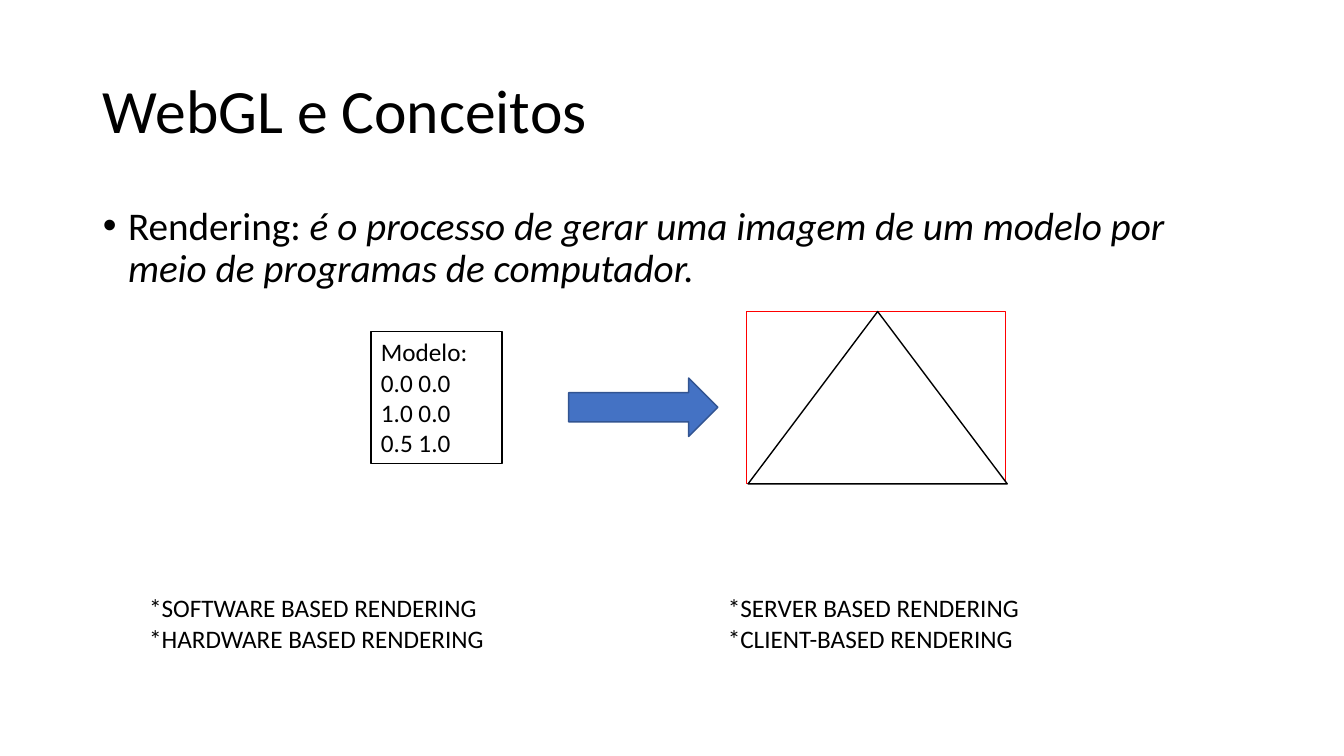
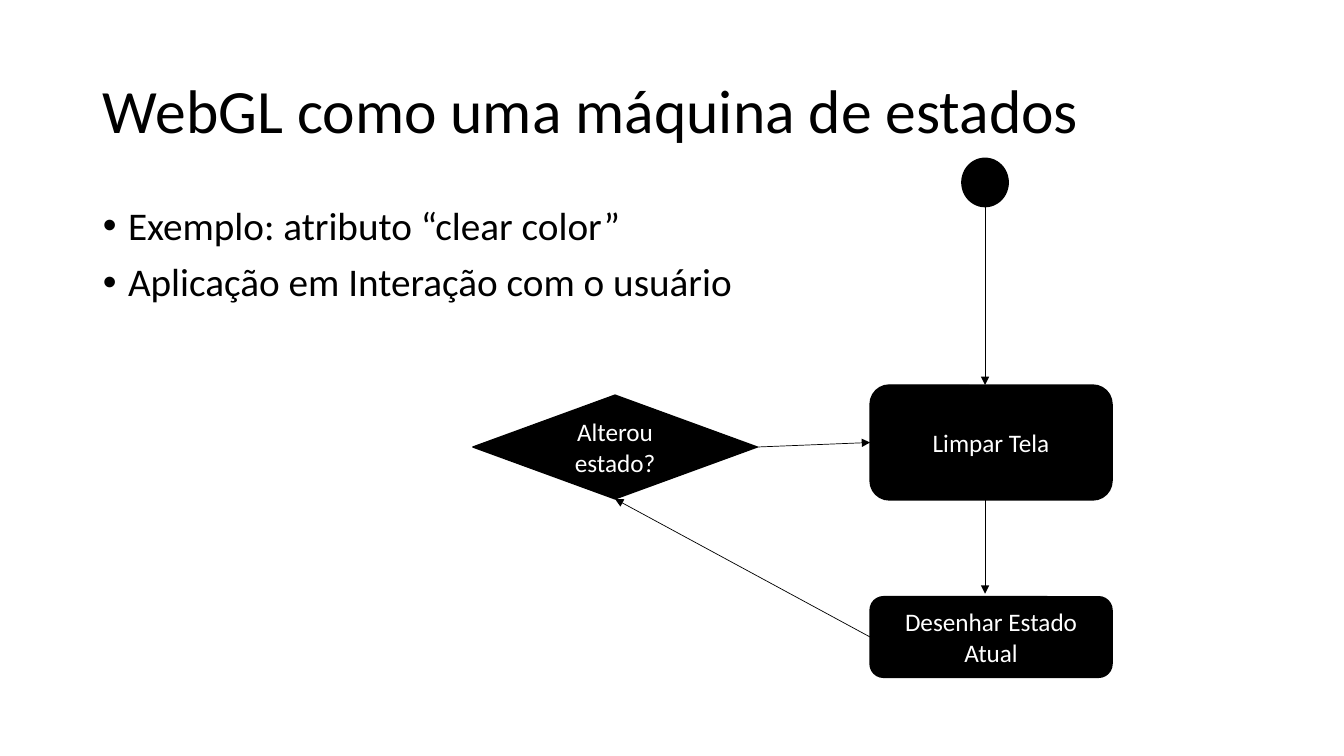
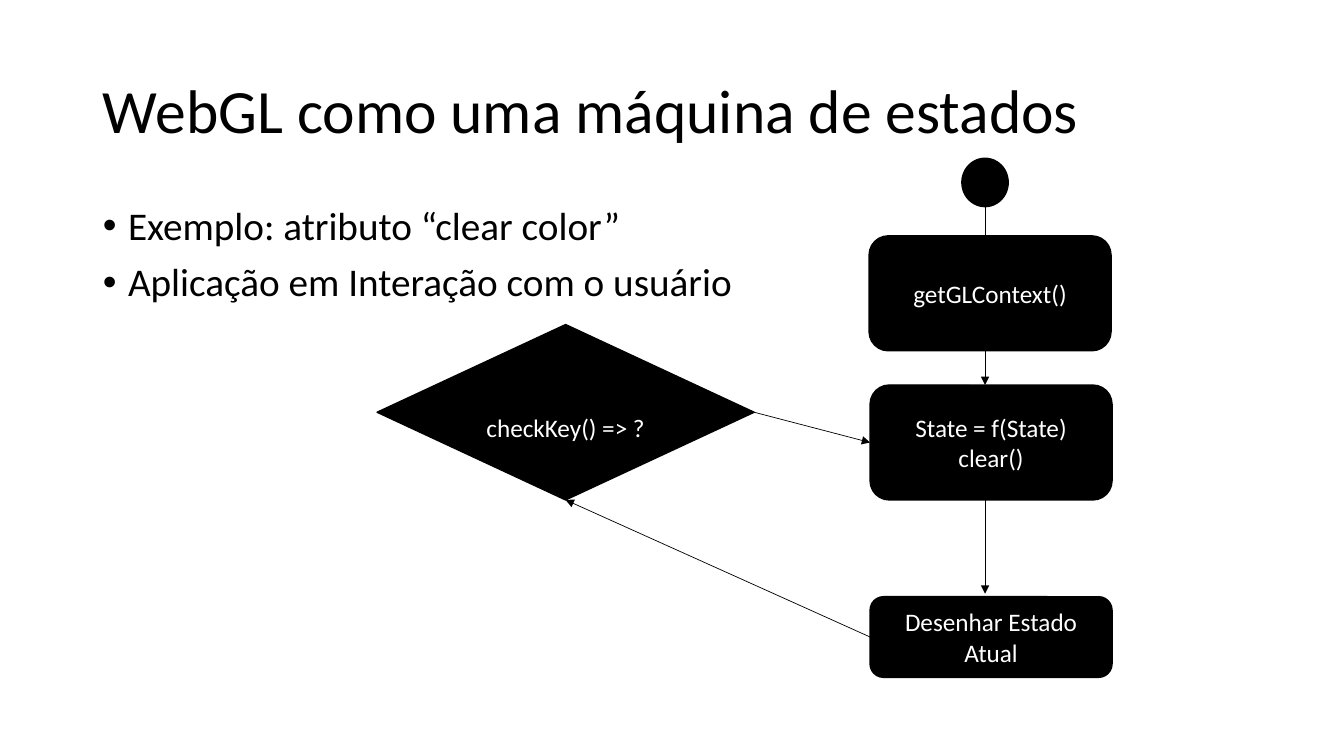
from pptx import Presentation
from pptx.dml.color import RGBColor
from pptx.enum.shapes import MSO_CONNECTOR, MSO_SHAPE
from pptx.enum.text import MSO_ANCHOR, MSO_AUTO_SIZE, PP_ALIGN
from pptx.oxml.ns import qn
from pptx.util import Inches, Pt
from lxml.etree import SubElement

FONT = "Calibri"
BLACK, WHITE, RED = "000000", "FFFFFF", "FF0000"
BLUE, DARK_BLUE = "4472C4", "325491"
TOP, LEFT, BOTTOM, RIGHT = range(4)

TITLE_BOX = (0.92, 0.4, 11.5, 1.45)
BODY_BOX = (0.92, 2, 11.5, 4.76)
TITLE_PARAGRAPH = {"alignment": PP_ALIGN.LEFT, "line_spacing": 0.9}
BODY_PARAGRAPH = {"line_spacing": 0.9, "space_before": Pt(10)}
LEFT_PARAGRAPH = {"alignment": PP_ALIGN.LEFT}
CENTRED_PARAGRAPH = {"alignment": PP_ALIGN.CENTER}

STATE_TITLE = "WebGL como uma máquina de estados"
STATE_BULLETS = ["Exemplo: atributo “clear color”", "Aplicação em Interação com o usuário"]


def rgb(value):
    return RGBColor.from_string(value)


def set_attributes(target, values):
    for name, value in values.items():
        setattr(target, name, value)


def place(shape, box):
    names = ("left", "top", "width", "height")
    set_attributes(shape, {name: Inches(length) for name, length in zip(names, box)})


def write_lines(frame, lines, size, color, paragraph_format):
    """Write one paragraph per line; a line is a string or a list of (text, italic) runs."""
    for index, line in enumerate(lines):
        paragraph = frame.add_paragraph() if index else frame.paragraphs[0]
        set_attributes(paragraph, paragraph_format)
        for text, italic in [(line, None)] if isinstance(line, str) else line:
            run = paragraph.add_run()
            run.text = text
            set_attributes(run.font, {"name": FONT, "size": Pt(size), "italic": italic})
            run.font.color.rgb = rgb(color)


def add_content_slide(presentation, title, bullets):
    slide = presentation.slides.add_slide(presentation.slide_layouts[1])
    heading, body = slide.placeholders
    place(heading, TITLE_BOX)
    place(body, BODY_BOX)
    for placeholder in (heading, body):
        placeholder.text_frame.auto_size = MSO_AUTO_SIZE.NONE
    heading.text_frame.vertical_anchor = MSO_ANCHOR.MIDDLE
    write_lines(heading.text_frame, [title], 44, BLACK, TITLE_PARAGRAPH)
    write_lines(body.text_frame, bullets, 28, BLACK, BODY_PARAGRAPH)
    for paragraph in body.text_frame.paragraphs:
        properties = paragraph._p.get_or_add_pPr()
        properties.set("marL", str(Inches(0.25)))
        properties.set("indent", str(-Inches(0.25)))
    return slide


def add_box(slide, kind, box, fill, line, width=1):
    shape = slide.shapes.add_shape(kind, *map(Inches, box))
    shape.shadow.inherit = False
    if fill:
        shape.fill.solid()
        shape.fill.fore_color.rgb = rgb(fill)
    else:
        shape.fill.background()
    shape.line.color.rgb = rgb(line)
    shape.line.width = Pt(width)
    return shape


def add_node(slide, kind, box, lines):
    node = add_box(slide, kind, box, BLACK, BLACK)
    node.text_frame.vertical_anchor = MSO_ANCHOR.MIDDLE
    write_lines(node.text_frame, lines, 18, WHITE, CENTRED_PARAGRAPH)
    return node


def add_arrow(slide, start=(0, 0), end=(0, 0), joins=None):
    """Draw an arrow between two points, or between two joined (shape, side) pairs."""
    arrow = slide.shapes.add_connector(MSO_CONNECTOR.STRAIGHT, *map(Inches, (*start, *end)))
    if joins:
        arrow.begin_connect(*joins[0])
        arrow.end_connect(*joins[1])
    arrow.line.color.rgb = rgb(BLACK)
    arrow.line.width = Pt(0.5)
    SubElement(arrow.line._get_or_add_ln(), qn("a:tailEnd"), type="triangle")
    SubElement(arrow._element.spPr, qn("a:effectLst"))


def add_model_to_image(slide, left, top):
    """Draw the model's vertices, an arrow and the resulting triangle."""
    model = add_box(slide, MSO_SHAPE.RECTANGLE, (left, top + 0.2, 1.3, 1.31), WHITE, BLACK)
    model.text_frame.vertical_anchor = MSO_ANCHOR.TOP
    lines = ["Modelo:", "0.0 0.0", "1.0 0.0", "0.5 1.0"]
    write_lines(model.text_frame, lines, 18, BLACK, LEFT_PARAGRAPH)
    add_box(slide, MSO_SHAPE.RIGHT_ARROW, (left + 1.96, top + 0.66, 1.48, 0.58), BLUE, DARK_BLUE)
    add_box(slide, MSO_SHAPE.RECTANGLE, (left + 3.72, top, 2.57, 1.71), None, RED, 0.75)
    add_box(slide, MSO_SHAPE.ISOSCELES_TRIANGLE, (left + 3.74, top, 2.57, 1.71), WHITE, BLACK)


def add_note(slide, box, lines):
    note = slide.shapes.add_textbox(*map(Inches, box))
    note.text_frame.word_wrap = False
    write_lines(note.text_frame, lines, 18, BLACK, LEFT_PARAGRAPH)


def add_state_machine(slide, left, top, decision_box, decision_lines, clear_lines):
    """Draw start, clear and draw states in a column, with the decision looping back."""
    axis = left + 1.14
    clear_top, draw_top = top + 2.25, top + 4.35
    decision = add_node(slide, MSO_SHAPE.FLOWCHART_DECISION, decision_box, decision_lines)
    clear = add_node(slide, MSO_SHAPE.ROUNDED_RECTANGLE, (left, clear_top, 2.4, 1.14), clear_lines)
    add_box(slide, MSO_SHAPE.FLOWCHART_CONNECTOR, (axis - 0.23, top, 0.46, 0.48), BLACK, BLACK)
    draw = add_node(slide, MSO_SHAPE.FLOWCHART_ALTERNATE_PROCESS, (left, draw_top, 2.4, 0.8),
                    ["Desenhar Estado Atual"])
    add_arrow(slide, (axis, top + 0.48), (axis, clear_top))
    add_arrow(slide, (axis, clear_top + 1.14), (axis, draw_top - 0.03))
    add_arrow(slide, joins=((decision, RIGHT), (clear, LEFT)))
    add_arrow(slide, joins=((draw, LEFT), (decision, BOTTOM)))
    return decision


def build_rendering_slide(presentation):
    definition = [("Rendering: ", None),
                  ("é o processo de gerar uma imagem de um modelo por meio de "
                   "programas de computador.", True)]
    slide = add_content_slide(presentation, "WebGL e Conceitos", [definition])
    add_model_to_image(slide, 3.68, 3.09)
    add_note(slide, (1.38, 5.83, 3.55, 0.71),
             ["*SOFTWARE BASED RENDERING", "*HARDWARE BASED RENDERING"])
    add_note(slide, (7.12, 5.83, 3.23, 0.71),
             ["*SERVER BASED RENDERING", "*CLIENT-BASED RENDERING"])


def build_simple_state_slide(presentation):
    slide = add_content_slide(presentation, STATE_TITLE, STATE_BULLETS)
    add_state_machine(slide, 8.63, 1.57, (4.69, 3.92, 2.82, 1.03),
                      ["Alterou estado?"], ["Limpar Tela"])


def build_context_state_slide(presentation):
    slide = add_content_slide(presentation, STATE_TITLE, STATE_BULLETS)
    decision = add_state_machine(slide, 8.63, 1.57, (3.74, 3.22, 3.74, 1.74),
                                 ["checkKey() => ?"], ["State = f(State)", "clear()"])
    decision.text_frame.margin_top = Inches(0.35)
    add_node(slide, MSO_SHAPE.ROUNDED_RECTANGLE, (8.62, 2.34, 2.4, 1.14), ["getGLContext()"])


def main():
    presentation = Presentation()
    presentation.slide_width = Inches(13.33)
    presentation.slide_height = Inches(7.5)
    build_rendering_slide(presentation)
    build_simple_state_slide(presentation)
    build_context_state_slide(presentation)
    presentation.save("out.pptx")


if __name__ == "__main__":
    main()
